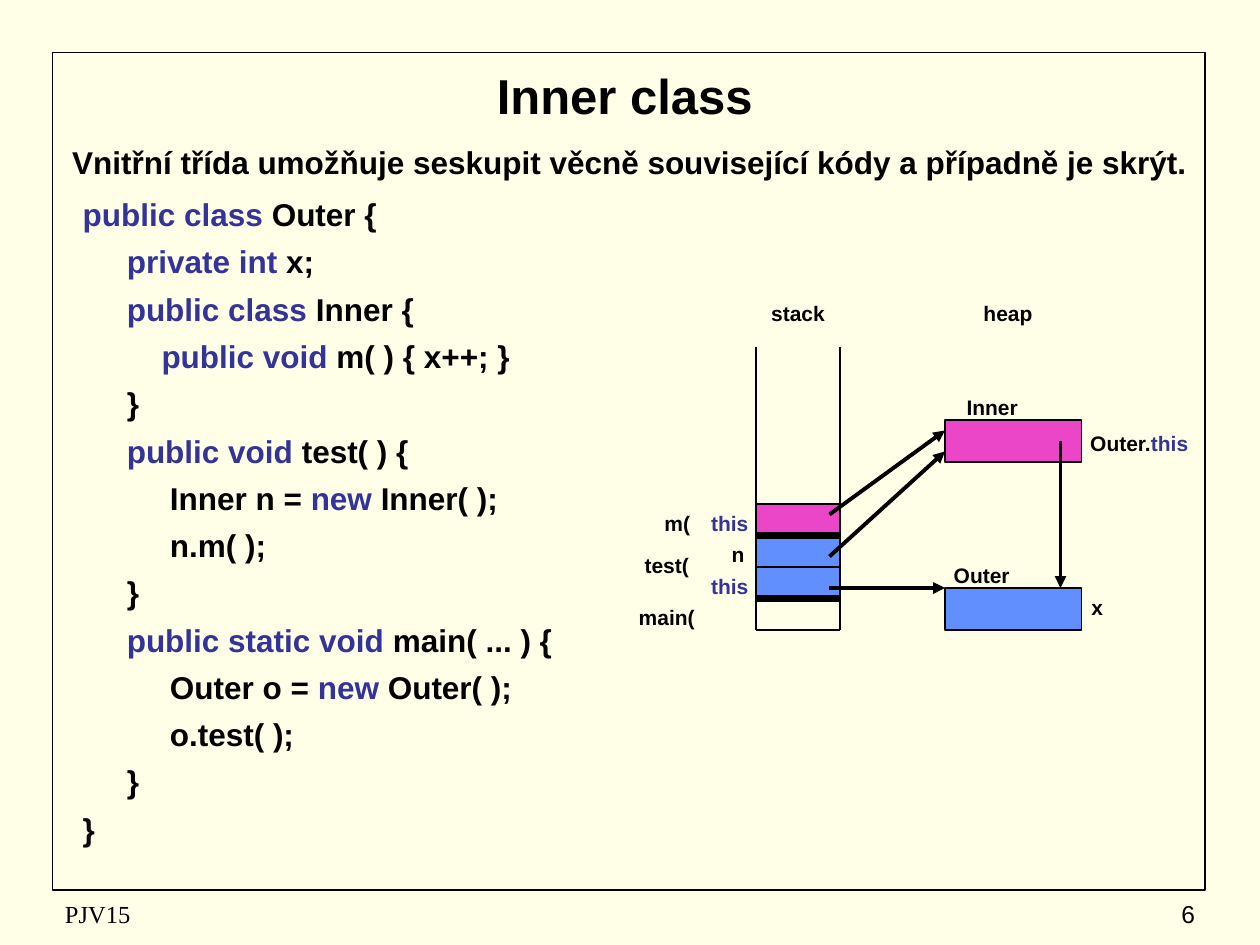
import pptx
import pptx.dml.color
import pptx.enum.shapes
import pptx.enum.text
import pptx.oxml
import pptx.oxml.ns
import pptx.util

PX = 7620
COLORS = {
    "paper": "FFFFE7",
    "ink": "000000",
    "keyword": "333399",
    "inner": "EC46C8",
    "outer": "618FFD",
}
ALIGN = pptx.enum.text.PP_ALIGN
ANCHOR = pptx.enum.text.MSO_ANCHOR
CODE = [
    (0, "*public class* Outer {"),
    (42, "*private int* x;"),
    (42, "*public class* Inner {"),
    (75, "*public void* m( ) { x++; }"),
    (42, "}"),
    (42, "*public void* test( ) {"),
    (83, "Inner n = *new* Inner( );"),
    (83, "n.m( );"),
    (42, "}"),
    (42, "*public static void* main( ... ) {"),
    (83, "Outer o = *new* Outer( );"),
    (83, "o.test( );"),
    (42, "}"),
    (0, "}"),
]


def px(value):
    return pptx.util.Emu(value * PX)


def color(key):
    return pptx.dml.color.RGBColor.from_string(COLORS[key])


def add_text(slide, box, lines, size=12, font="Arial", bold=True, align=ALIGN.CENTER,
             anchor=ANCHOR.TOP, before=0, margin=0, grow=False):
    area = slide.shapes.add_textbox(*map(px, box))
    frame = area.text_frame
    frame.word_wrap = True
    frame.vertical_anchor = anchor
    if grow:
        frame.auto_size = pptx.enum.text.MSO_AUTO_SIZE.SHAPE_TO_FIT_TEXT
    for number, (indent, line) in enumerate(lines):
        paragraph = frame.add_paragraph() if number else frame.paragraphs[0]
        paragraph.alignment = align
        paragraph.space_before = pptx.util.Pt(before)
        paragraph._p.get_or_add_pPr().set("marL", str(px(margin + indent)))
        for part, words in enumerate(line.split("*")):
            if words:
                run = paragraph.add_run()
                run.text = words
                run.font.size = pptx.util.Pt(size)
                run.font.name = font
                run.font.bold = bold
                run.font.color.rgb = color("keyword" if part % 2 else "ink")


def add_label(slide, left, top, width, words):
    add_text(slide, (left, top, width, 36), [(0, words)], grow=True)


def add_rect(slide, box, fill=None, weight=0.75):
    rect = slide.shapes.add_shape(pptx.enum.shapes.MSO_SHAPE.RECTANGLE, *map(px, box))
    rect.shadow.inherit = False
    if fill:
        rect.fill.solid()
        rect.fill.fore_color.rgb = color(fill)
    else:
        rect.fill.background()
    rect.line.color.rgb = color("ink")
    rect.line.width = pptx.util.Pt(weight)
    return rect


def add_line(slide, start, end, weight=0.75, arrow=False):
    line = slide.shapes.add_connector(
        pptx.enum.shapes.MSO_CONNECTOR.STRAIGHT, *map(px, start + end))
    line.line.color.rgb = color("ink")
    line.line.width = pptx.util.Pt(weight)
    if arrow:
        tip = pptx.oxml.parse_xml(
            f'<a:tailEnd {pptx.oxml.ns.nsdecls("a")} type="triangle"/>')
        line.line._get_or_add_ln().append(tip)
    line._element.spPr.append(
        pptx.oxml.parse_xml(f'<a:effectLst {pptx.oxml.ns.nsdecls("a")}/>'))
    return line


def draw_page(slide, left, top, width, height):
    add_rect(slide, (left, top, width, height), weight=1)
    footer = dict(size=14, bold=False, anchor=ANCHOR.MIDDLE)
    foot = top + height + 2
    add_text(slide, (left, foot, 380, 40), [(0, "PJV15")],
             font="Times New Roman", align=ALIGN.LEFT, **footer)
    add_text(slide, (left + width - 248, foot, 250, 40), [(0, "6")],
             align=ALIGN.RIGHT, **footer)


def draw_content(slide, left, top, width):
    add_text(slide, (left + 10, top, width - 30, 80), [(0, "Inner class")],
             size=28, anchor=ANCHOR.MIDDLE)
    body = dict(size=18, align=ALIGN.JUSTIFY, margin=7, before=5.4)
    summary = "Vnitřní třída umožňuje seskupit věcně související kódy a případně je skrýt."
    add_text(slide, (left, top + 80, width, 70), [(0, summary)], **body)
    add_text(slide, (left + 10, top + 130, 500, 670), CODE, **body)


def draw_stack(slide, left, top, width, height):
    column, right, bottom = left + 130, left + width, top + height
    outer_frames = add_rect(slide, (column, top + 230, 80, 60), "outer")
    add_rect(slide, (column, top + 200, 80, 30), "inner")
    for rail in (column, right):
        add_line(slide, (rail, top + 50), (rail, bottom))
    for level, weight in ((320, 0.75), (290, 4.5), (230, 4.5), (200, 0.75)):
        add_line(slide, (column, top + level), (right, top + level), weight)
    divider = add_line(slide, (column, top + 260), (right, top + 260))
    divider.begin_connect(outer_frames, 1)
    divider.end_connect(outer_frames, 3)
    add_label(slide, column, top, 80, "stack")
    for x, y, words in ((0, 290, "main("), (0, 240, "test("), (10, 200, "m("),
                        (60, 260, "*this*"), (68, 230, "n"), (60, 200, "*this*")):
        add_label(slide, left + x, top + y, 90, words)


def draw_heap(slide, left, top):
    for y, fill in ((120, "inner"), (280, "outer")):
        add_rect(slide, (left + 10, top + y, 130, 40), fill)
    for x, y, width, words in ((30, 0, 80, "heap"), (0, 90, 110, "Inner"),
                               (0, 250, 90, "Outer"), (110, 280, 90, "x"),
                               (120, 124, 150, "Outer.*this*")):
        add_label(slide, left + x, top + y, width, words)


def draw_references(slide, left, top):
    for x1, y1, x2, y2 in ((200, 280, 310, 280), (200, 250, 310, 150),
                           (200, 210, 310, 130), (420, 140, 420, 280)):
        add_line(slide, (left + x1, top + y1), (left + x2, top + y2), 2.25, arrow=True)


def main():
    deck = pptx.Presentation()
    deck.slide_width, deck.slide_height = px(1200), px(900)
    slide = deck.slides.add_slide(deck.slide_layouts[6])
    slide.background.fill.solid()
    slide.background.fill.fore_color.rgb = color("paper")
    draw_page(slide, 50, 50, 1098, 798)
    draw_content(slide, 50, 50, 1100)
    draw_stack(slide, 590, 280, 210, 320)
    draw_heap(slide, 890, 280)
    draw_references(slide, 590, 280)
    deck.save("out.pptx")


if __name__ == "__main__":
    main()
